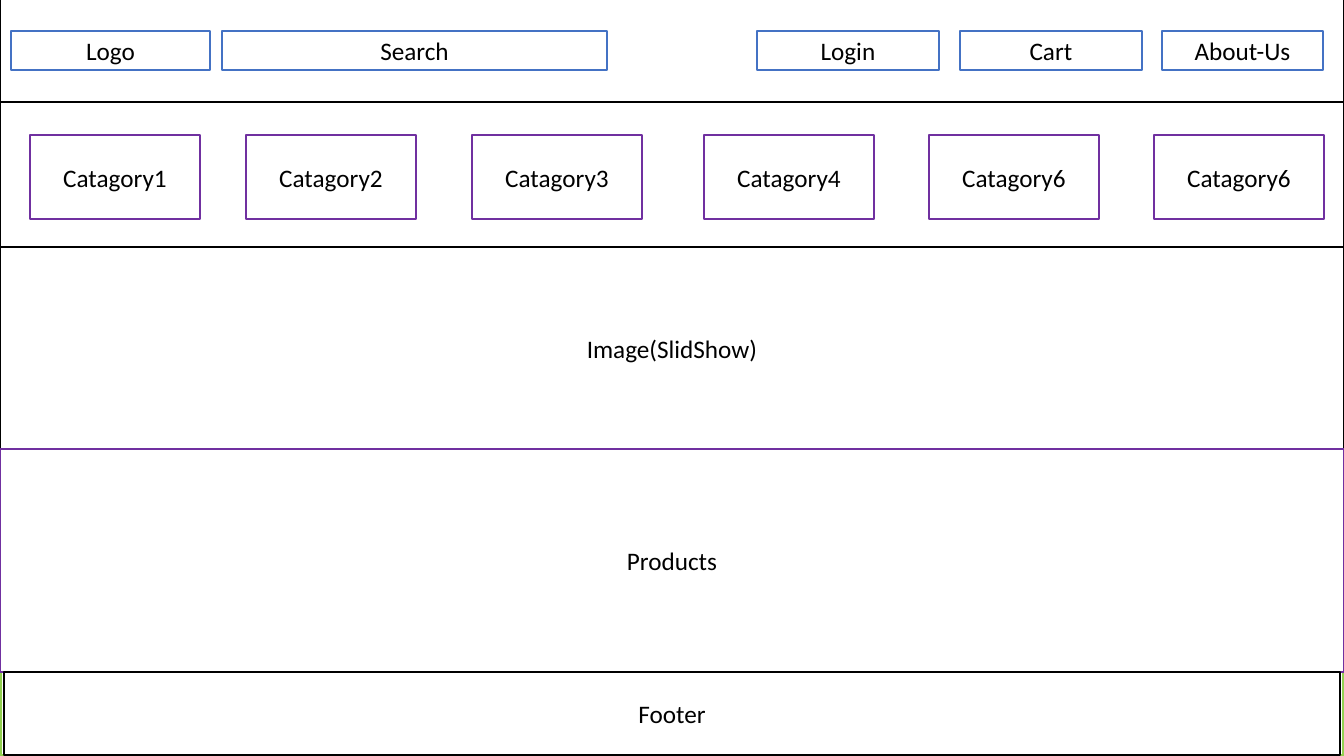
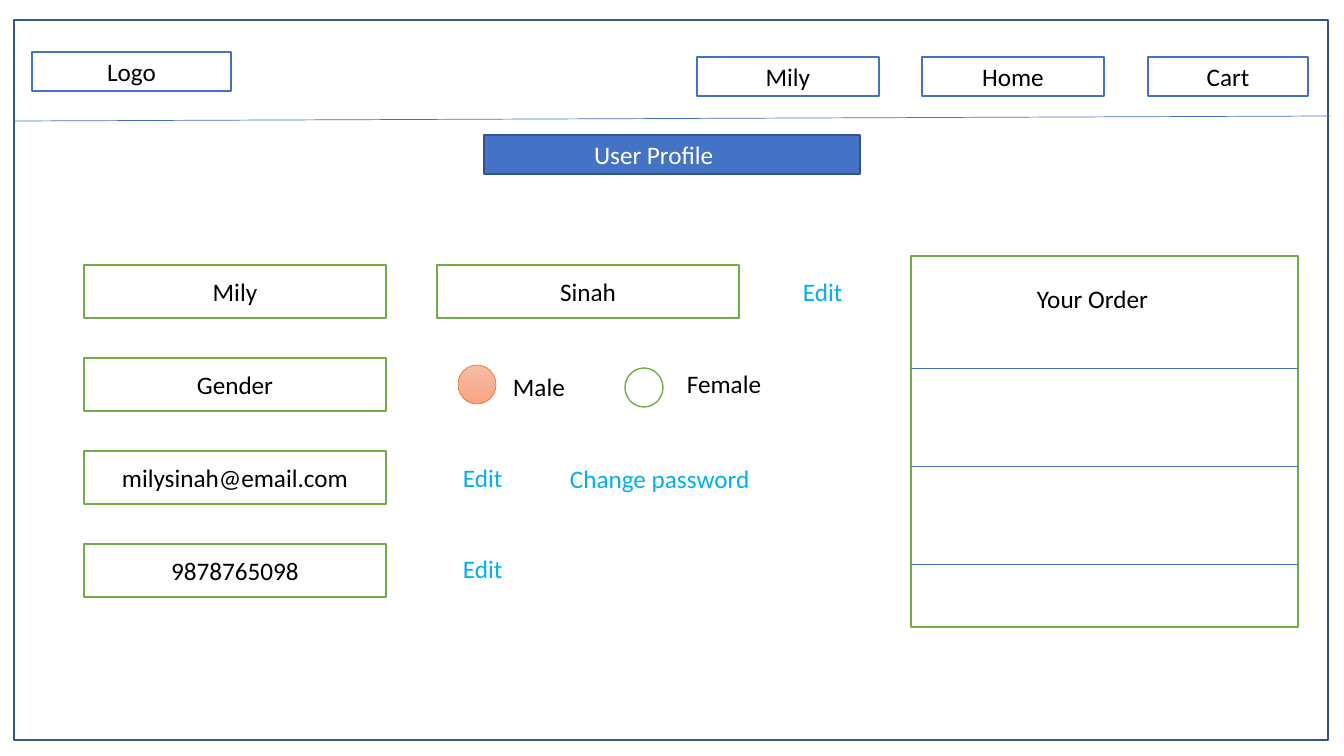
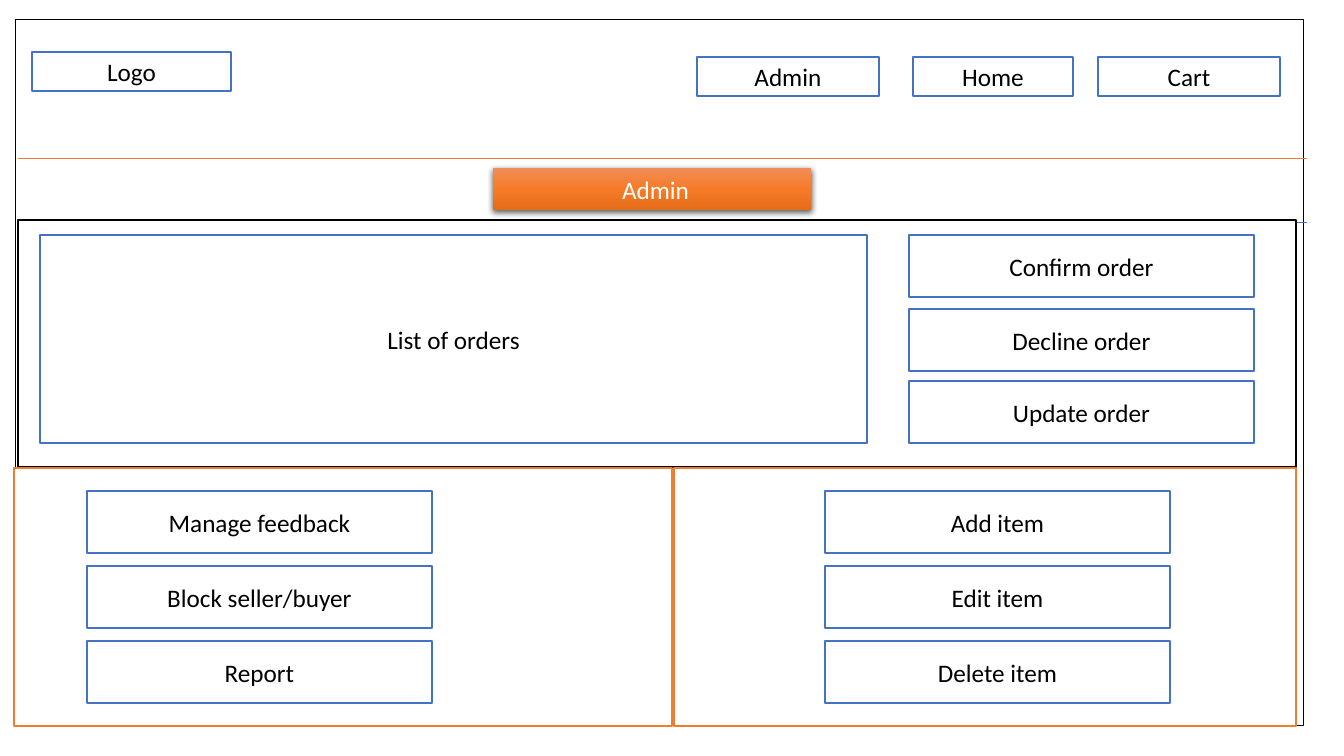
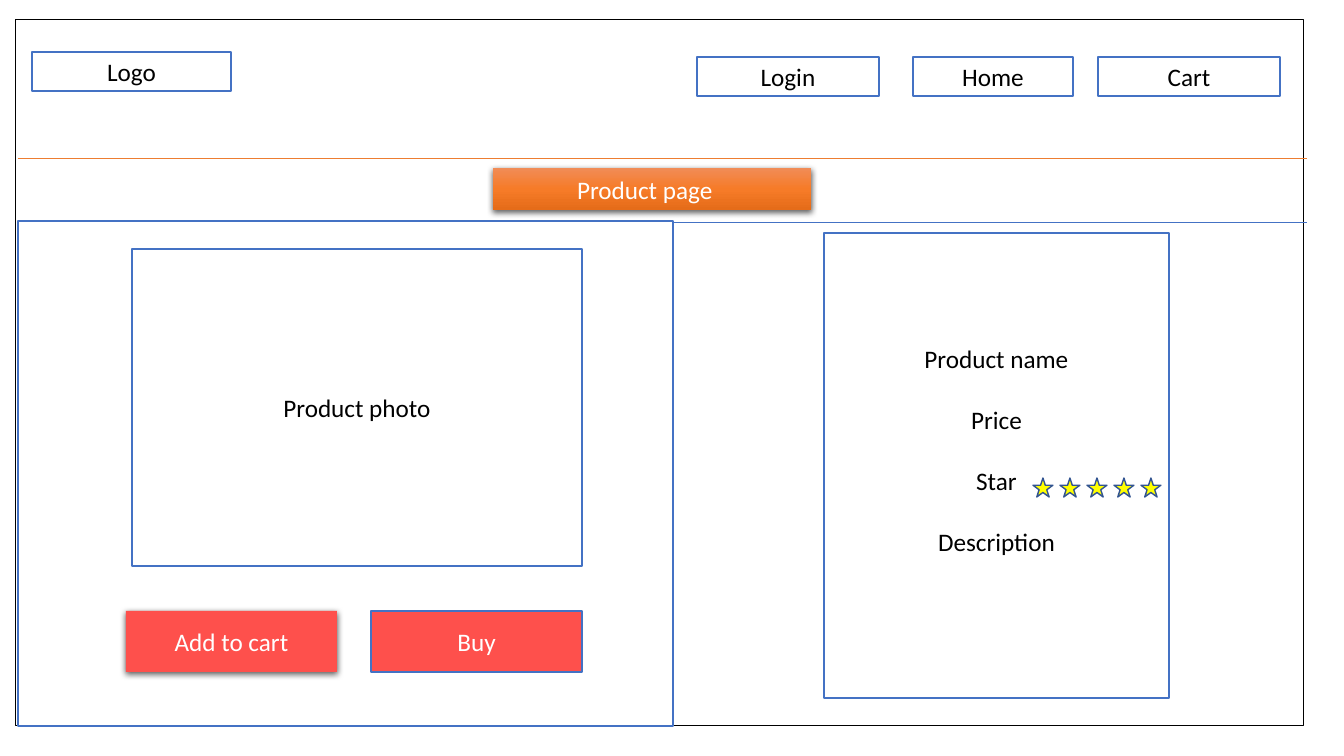
from lxml import etree
from pptx import Presentation
from pptx.dml.color import RGBColor
from pptx.enum import shapes, text
from pptx.oxml.ns import qn
from pptx.util import Emu, Pt

EMU_PER_PX = 914400 / 100.8
WIDTH, HEIGHT = 1344, 756
FONT, SIZE = "Calibri", 18
TITLE_ONLY, BLANK = 5, 6
BLACK, WHITE, BLUE, NAVY = "000000", "FFFFFF", "4472C4", "325491"
PURPLE, GREEN, LIME = "7030A0", "70AD47", "92D050"
ORANGE, RED, YELLOW, LINK = "ED7D31", "FE504C", "FFFF00", "00B0F0"
ORANGE_FADE = ["F18C57", "F67B28", "E56C19"]
PEACH_FADE = ["F7BDA5", "F5B196", "F8A582"]
RECT = shapes.MSO_SHAPE.RECTANGLE
CIRCLE = shapes.MSO_SHAPE.FLOWCHART_CONNECTOR
STAR = shapes.MSO_SHAPE.STAR_5_POINT
LEFT, CENTER = text.PP_ALIGN.LEFT, text.PP_ALIGN.CENTER


def px(value):
    """Turn pixels into EMU."""
    return Emu(round(value * EMU_PER_PX))


def rgb(value):
    """Turn a hex string into a colour."""
    return RGBColor.from_string(value)


class Wireframe:
    """Draws page mock-ups in one style on the current slide."""

    def __init__(self):
        """Start an empty widescreen presentation."""
        self.prs = Presentation()
        self.prs.slide_width, self.prs.slide_height = px(WIDTH), px(HEIGHT)

    def page(self, layout=BLANK):
        """Add a slide and make it current."""
        self.slide = self.prs.slides.add_slide(self.prs.slide_layouts[layout])

    def paint(self, sp, fill, line, weight=1, shadow=False):
        """Set fill (hex, list of fade colours or None), outline and shadow."""
        sp.shadow.inherit = False
        if fill is None:
            sp.fill.background()
        elif isinstance(fill, list):
            self.fade(sp, fill)
        else:
            sp.fill.solid()
            sp.fill.fore_color.rgb = rgb(fill)
        if line:
            sp.line.color.rgb = rgb(line)
            sp.line.width = Pt(weight)
        else:
            sp.line.fill.background()
        if shadow:
            effects = sp._element.spPr.find(qn("a:effectLst"))
            outer = etree.SubElement(
                effects, qn("a:outerShdw"), blurRad=str(Pt(4.5)),
                dist=str(Pt(1.5)), dir="5400000", rotWithShape="0")
            color = etree.SubElement(outer, qn("a:srgbClr"), val=BLACK)
            etree.SubElement(color, qn("a:alpha"), val="63000")

    def fade(self, sp, colors):
        """Fill a shape with an even top-to-bottom gradient."""
        sp.fill.gradient()
        sp.fill.gradient_angle = 270
        stops = sp._element.spPr.find(".//" + qn("a:gsLst"))
        for stop in list(stops):
            stops.remove(stop)
        for i, color in enumerate(colors):
            position = 100000 * i // (len(colors) - 1)
            stop = etree.SubElement(stops, qn("a:gs"), pos=str(position))
            etree.SubElement(stop, qn("a:srgbClr"), val=color)

    def set_text(self, sp, words, color=BLACK, align=CENTER,
                 anchor=text.MSO_ANCHOR.MIDDLE, gap=0):
        """Put text in a shape, one paragraph a line, gap points apart."""
        tf = sp.text_frame
        tf.text = words
        tf.word_wrap = True
        tf.auto_size = text.MSO_AUTO_SIZE.NONE
        tf.vertical_anchor = anchor
        for i, p in enumerate(tf.paragraphs):
            p.alignment = align
            p.line_spacing = 1
            p.space_before = Pt(gap if i else 0)
            for r in p.runs:
                r.font.name, r.font.size = FONT, Pt(SIZE)
                r.font.color.rgb = rgb(color)

    def box(self, at, words="", fill=WHITE, line=BLUE, weight=1,
            color=BLACK, kind=RECT, shadow=False, gap=0):
        """Add a preset shape with centred text."""
        sp = self.slide.shapes.add_shape(kind, *map(px, at))
        self.paint(sp, fill, line, weight, shadow)
        if words:
            self.set_text(sp, words, color, gap=gap)
        return sp

    def label(self, left, top, width, words, color=BLACK):
        """Add a line of plain text."""
        sp = self.slide.shapes.add_textbox(*map(px, (left, top, width, 40)))
        self.set_text(sp, words, color, LEFT, text.MSO_ANCHOR.TOP)

    def rule(self, x1, y1, x2, y2, color=BLUE):
        """Add a hairline."""
        line = self.slide.shapes.add_connector(
            shapes.MSO_CONNECTOR.STRAIGHT, *map(px, (x1, y1, x2, y2)))
        line.line.color.rgb = rgb(color)
        line.line.width = Pt(0.5)
        etree.SubElement(line._element.spPr, qn("a:effectLst"))

    def title(self, at, words, indent, fill, line=None, shadow=False):
        """Turn the title placeholder into the page banner."""
        sp = self.slide.shapes.title
        sp.left, sp.top, sp.width, sp.height = map(px, at)
        self.paint(sp, fill, line, shadow=shadow)
        self.set_text(sp, words, WHITE, LEFT)
        sp.text_frame.margin_left = px(indent)

    def nav(self, top, items):
        """Add a row of navigation buttons: (words, left, width)."""
        for words, left, width in items:
            self.box((left, top, width, 39), words)

    def stack(self, left, tops, names):
        """Add a column of action buttons."""
        for top, name in zip(tops, names):
            self.box((left, top, 345, 62), name)

    def shop_page(self, first, heading, indent):
        """Start a page with the frame, navigation and orange banner."""
        self.page(TITLE_ONLY)
        self.box((16, 20, 1288, 706), fill=None, line=BLACK, weight=0.75)
        self.nav(52, [("Logo", 32, 199)])
        self.nav(57, [(first, 697, 182), ("Cart", 1098, 182),
                      ("Home", 913, 160)])
        self.rule(18, 158, 1307, 158, ORANGE)
        self.title((493, 168, 318, 42), heading, indent, ORANGE_FADE,
                   shadow=True)
        self.rule(18, 222, 1307, 222)


def home_page(w):
    """Home page: header, categories, slide show, products and footer."""
    w.page()
    w.box((0, -8, WIDTH, 764), line=LIME, weight=3)
    w.box((0, -6, WIDTH, 108), line=BLACK)
    w.nav(31, [("Search", 222, 385), ("Logo", 11, 199), ("Login", 757, 182),
               ("Cart", 960, 182), ("About-Us", 1162, 161)])
    w.box((0, 102, WIDTH, 145), line=BLACK)
    for left, number in zip((30, 246, 472, 704, 929, 1154), "123466"):
        w.box((left, 135, 170, 84), "Catagory" + number, line=PURPLE,
              weight=1.5)
    w.box((0, 247, WIDTH, 202), "Image(SlidShow)", line=BLACK)
    w.box((0, 449, WIDTH, 223), "Products", line=PURPLE, weight=1.5)
    w.box((4, 672, 1336, 83), "Footer", line=BLACK)


def profile_page(w):
    """User profile: personal fields, edit links and order list."""
    w.page(TITLE_ONLY)
    w.box((14, 20, 1314, 720), fill=None, line=NAVY)
    w.nav(52, [("Logo", 32, 199)])
    w.nav(57, [("Mily", 697, 182), ("Home", 922, 182), ("Cart", 1148, 160)])
    w.title((484, 135, 376, 39), "User Profile", 110, BLUE, NAVY)
    w.rule(14, 121, 1330, 116)
    fields = ["Mily", "Gender", "milysinah@email.com", "9878765098"]
    for i, field in enumerate(fields):
        w.box((84, 265 + 93 * i, 302, 53), field, line=GREEN)
    w.box((437, 265, 302, 53), "Sinah", line=GREEN)
    w.box((458, 365, 38, 39), fill=PEACH_FADE, line=ORANGE, weight=0.5,
          kind=CIRCLE)
    w.box((625, 368, 38, 39), line=GREEN, kind=CIRCLE)
    w.label(503, 366, 86, "Male")
    w.label(677, 363, 102, "Female")
    for left, top in ((793, 271), (453, 457), (453, 548)):
        w.label(left, top, 86, "Edit", LINK)
    w.label(560, 458, 201, "Change password", LINK)
    w.box((911, 256, 387, 371), line=GREEN)
    w.label(1027, 278, 152, "Your Order")
    for i in range(3):
        y = 368 + 98 * i
        w.rule(911, y, 1298, y)


def admin_page(w):
    """Admin page: orders above, user and item actions below."""
    w.shop_page("Admin", "Admin", 129)
    w.box((18, 220, 1278, 247), line=BLACK)
    w.box((674, 468, 622, 258), line=ORANGE)
    w.box((14, 468, 658, 258), line=ORANGE)
    w.box((40, 235, 827, 208), "List of orders")
    w.stack(909, (235, 309, 381),
            ("Confirm order", "Decline order", "Update order"))
    lower = range(491, 650, 75)
    w.stack(87, lower, ("Manage feedback", "Block seller/buyer", "Report"))
    w.stack(825, lower, ("Add item", "Edit item", "Delete item"))


def product_page(w):
    """Product page: photo and purchase buttons beside the details."""
    w.shop_page("Login", "Product page", 84)
    w.box((18, 221, 655, 505))
    details = w.box((824, 233, 345, 465),
                    "Product name\nPrice\nStar\nDescription", gap=22)
    details.text_frame.margin_bottom = px(36)
    w.box((132, 249, 450, 317), "Product photo")
    w.box((126, 611, 211, 61), "Add to cart", fill=RED, line=None,
          color=WHITE, shadow=True)
    w.box((371, 611, 211, 61), "Buy", fill=RED, color=WHITE)
    for i in range(5):
        w.box((1033 + 27 * i, 478, 20, 19), fill=YELLOW, line=NAVY, kind=STAR)


wireframe = Wireframe()
for build in (home_page, profile_page, admin_page, product_page):
    build(wireframe)
wireframe.prs.save("out.pptx")
